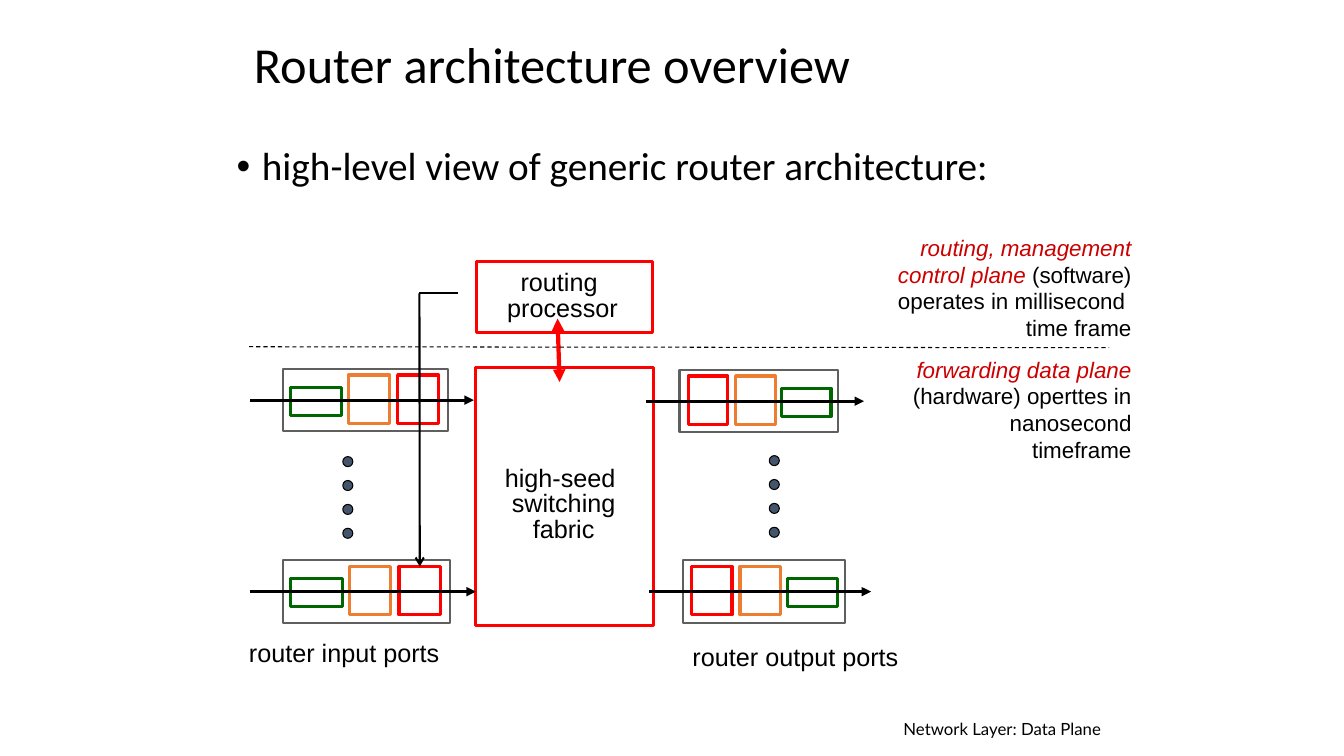
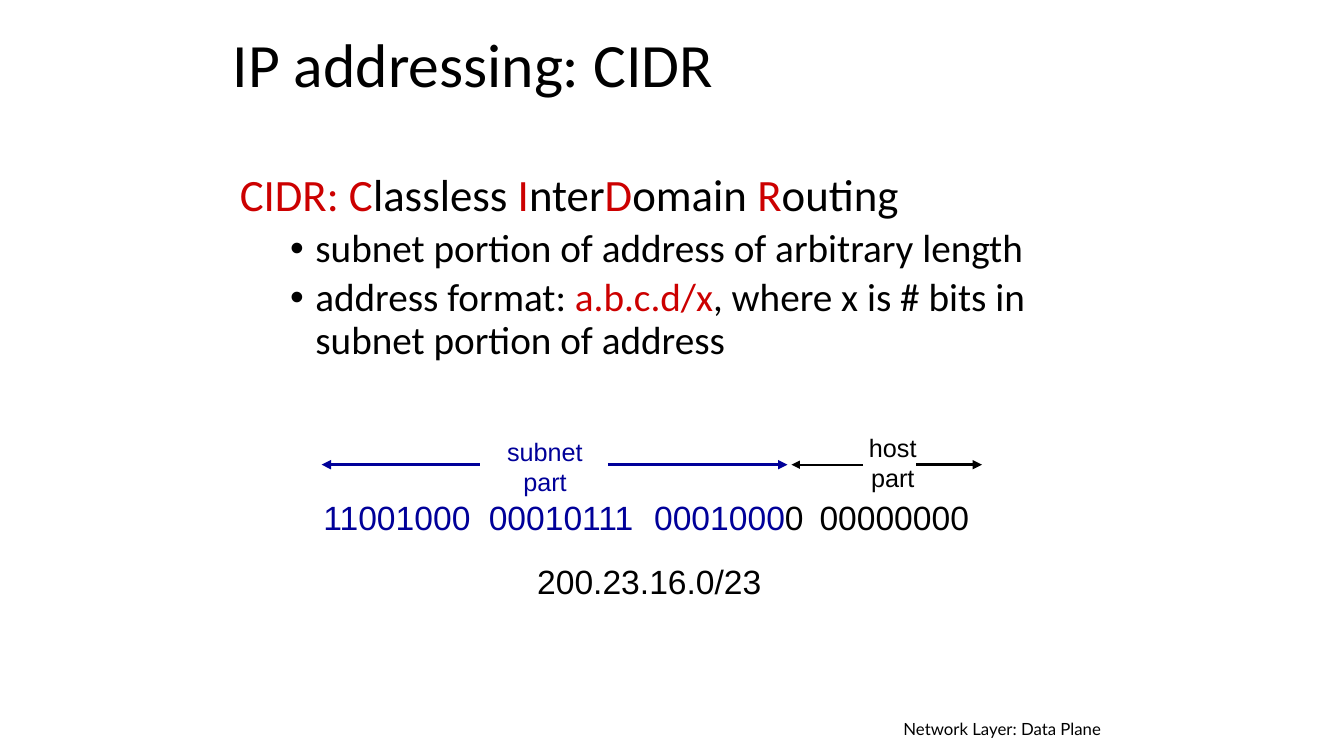
from dataclasses import dataclass

from lxml.etree import SubElement
from pptx import Presentation
from pptx.dml.color import RGBColor
from pptx.enum.dml import MSO_LINE
from pptx.enum.shapes import MSO_CONNECTOR, MSO_SHAPE as Shape
from pptx.enum.text import MSO_ANCHOR as Anchor, PP_ALIGN as Align
from pptx.oxml.ns import qn
from pptx.util import Inches, Pt

BLACK, WHITE = "000000", "FFFFFF"
RED, ACCENT, NAVY = "FF0000", "CC0000", "000099"
GREEN, ORANGE, GREY, SLATE = "006600", "ED7D31", "5F5F5F", "44546A"
HEADING_FONT, LABEL_FONT, FOOTER_FONT = "Calibri", "Arial", "Lato"


@dataclass
class Para:
    runs: list
    size: float = 18
    align: Align = Align.LEFT
    spacing: float = 1
    before: float = 0
    margin: float = 0
    bullet: bool = False
    hanging: bool = False
    tabs: tuple = ()


def rgb(color):
    return RGBColor.from_string(color)


def format_paragraph(paragraph, para):
    paragraph.alignment = para.align
    paragraph.line_spacing = para.spacing
    paragraph.space_before = Pt(para.before)
    properties = paragraph._p.get_or_add_pPr()
    if para.hanging:
        properties.set("marL", str(Inches(para.margin)))
        properties.set("indent", str(Inches(-0.25)))
    if para.bullet:
        SubElement(properties, qn("a:buFont"), typeface="Arial")
        SubElement(properties, qn("a:buChar"), char="•")
    if para.tabs:
        stops = SubElement(properties, qn("a:tabLst"))
        for stop in para.tabs:
            SubElement(stops, qn("a:tab"), pos=str(Inches(stop)), algn="l")


def write(slide, box, paras, font=LABEL_FONT, wrap=True, anchor=Anchor.TOP):
    frame = slide.shapes.add_textbox(*map(Inches, box)).text_frame
    frame.word_wrap = wrap
    frame.vertical_anchor = anchor
    for index, para in enumerate(paras):
        paragraph = frame.add_paragraph() if index else frame.paragraphs[0]
        format_paragraph(paragraph, para)
        for text, color, *style in para.runs:
            run = paragraph.add_run()
            run.text = text
            run.font.name = font
            run.font.size = Pt(para.size)
            run.font.color.rgb = rgb(color)
            run.font.italic = "italic" in style


def label(slide, box, lines, color=BLACK, size=18, align=Align.CENTER, spacing=1):
    paras = [Para([(line, color)], size, align, spacing) for line in lines]
    write(slide, box, paras, wrap=False)


def block(slide, box, line, weight, fill=WHITE, kind=Shape.RECTANGLE):
    shape = slide.shapes.add_shape(kind, *map(Inches, box))
    shape.shadow.inherit = False
    shape.fill.solid()
    shape.fill.fore_color.rgb = rgb(fill)
    shape.line.color.rgb = rgb(line)
    shape.line.width = Pt(weight)
    return shape


def connect(slide, start, end, color=BLACK, weight=2.25, head=None, tail=None, dash=None):
    connector = slide.shapes.add_connector(
        MSO_CONNECTOR.STRAIGHT, *map(Inches, (*start, *end)))
    connector.line.color.rgb = rgb(color)
    connector.line.width = Pt(weight)
    if dash:
        connector.line.dash_style = dash
    outline = connector.line._get_or_add_ln()
    for tag, arrow in (("a:headEnd", head), ("a:tailEnd", tail)):
        if arrow:
            SubElement(outline, qn(tag), type=arrow)
    SubElement(connector._element.spPr, qn("a:effectLst"))
    return connector


def add_slide(prs, title, title_box, title_size):
    slide = prs.slides.add_slide(prs.slide_layouts[6])
    write(slide, title_box, [Para([(title, BLACK)], title_size, spacing=0.9)],
          HEADING_FONT, anchor=Anchor.MIDDLE)
    write(slide, (8.64, 7.08, 2.38, 0.26),
          [Para([("Network Layer: Data Plane", BLACK)], 12, Align.RIGHT)], FOOTER_FONT)
    return slide


def port(slide, left, top, width, output=False):
    block(slide, (left, top, width, 0.62), GREY, 1.5)
    scale = width / 1.64
    stages = [(0.07, 0.18, 0.51, 0.28, GREEN),
              (0.65, 0.06, 0.41, 0.48, ORANGE),
              (1.14, 0.06, 0.41, 0.48, RED)]
    for x, y, w, h, color in stages:
        x, w = x * scale, w * scale
        if output:
            x = width - x - w
        stage = block(slide, (left + x, top + y, w, h), color, 2.25)
    middle = top + 0.31
    connect(slide, (left - 0.33, middle), (left + width + 0.26, middle), tail="triangle")
    return stage


def ellipsis_dots(slide, left, top):
    for index in range(4):
        block(slide, (left, top + index * 0.237, 0.1, 0.1), BLACK, 0.75, SLATE, Shape.OVAL)


def switching_core(slide, left, top):
    block(slide, (left, top + 1.06, 1.76, 2.56), RED, 2.25)
    label(slide, (left + 0.18, top + 1.99, 1.38, 0.87),
          ["high-seed ", "switching", "fabric"], spacing=0.85)
    block(slide, (left + 0.01, top, 1.74, 0.71), RED, 2.25)
    label(slide, (left + 0.21, top + 0.05, 1.3, 0.61),
          ["routing ", "processor"], spacing=0.85)
    connect(slide, (left + 0.81, top + 0.57), (left + 0.83, top + 1.2), RED, 3,
            "triangle", "triangle")


def plane_notes(slide, right, divider):
    connect(slide, (2.47, divider), (11, divider + 0.01), weight=0.75, dash=MSO_LINE.DASH)
    control = [[("routing, management", ACCENT, "italic")],
               [("control plane ", ACCENT, "italic"), ("(software)", BLACK)],
               [("operates in millisecond ", BLACK)],
               [("time frame", BLACK)]]
    forwarding = [[("forwarding data plane ", ACCENT, "italic"),
                   ("(hardware) operttes in nanosecond timeframe", BLACK)]]
    for width, top, notes in ((3.15, divider - 1.17, control),
                              (2.39, divider + 0.04, forwarding)):
        write(slide, (right - width, top, width, 1.18),
              [Para(runs, 16, Align.RIGHT) for runs in notes])


def router_slide(prs):
    slide = add_slide(prs, "Router architecture overview", (2.42, 0.33, 8.5, 0.67), 36)
    write(slide, (2.25, 1.41, 8.5, 0.64),
          [Para([("high-level view of generic router architecture:", BLACK)], 28,
                spacing=0.9, margin=0.25, bullet=True, hanging=True)], HEADING_FONT)
    switching_core(slide, 4.72, 2.59)
    port(slide, 2.81, 3.66, 1.63)
    lookup = port(slide, 2.81, 5.56, 1.65)
    port(slide, 6.74, 3.67, 1.57, output=True)
    port(slide, 6.77, 5.56, 1.61, output=True)
    ellipsis_dots(slide, 3.4, 4.53)
    ellipsis_dots(slide, 7.63, 4.52)
    label(slide, (2.37, 6.27, 2.09, 0.4), ["router input ports"], align=Align.LEFT)
    label(slide, (6.77, 6.31, 2.24, 0.4), ["router output ports"], align=Align.LEFT)
    plane_notes(slide, 11.32, 3.44)
    bend = (4.16, 2.91)
    connect(slide, (4.54, 2.91), bend, weight=1.5)
    update = connect(slide, bend, (4.16, 5.62), weight=1.5, tail="arrow")
    update.end_connect(lookup, 0)


def address_diagram(slide, left, top):
    axis = top + 0.37
    spans = [(1.65, 0.08, NAVY, 2.25), (2.92, 4.7, NAVY, 2.25),
             (5.45, 4.74, BLACK, 1.5), (5.98, 6.63, BLACK, 2.25)]
    for start, end, color, weight in spans:
        connect(slide, (left + start, axis), (left + end, axis), color, weight,
                tail="triangle")
    label(slide, (left + 1.82, top + 0.04, 0.95, 0.7), ["subnet", "part"], NAVY)
    label(slide, (left + 5.41, top, 0.67, 0.7), ["host", "part"])
    bits = [("11001000\t00010111\t0001000", NAVY), ("0\t00000000", BLACK)]
    write(slide, (left, top + 0.64, 6.9, 0.5),
          [Para(bits, 24, tabs=tuple(1.64 * column for column in (1, 2, 3)))])
    label(slide, (left + 2.12, top + 1.28, 2.43, 0.5), ["200.23.16.0/23"],
          size=24, align=Align.LEFT)


def cidr_slide(prs):
    slide = add_slide(prs, "IP addressing: CIDR", (2.21, 0.21, 8.5, 0.93), 44)
    expansion = [("CIDR: C", ACCENT), ("lassless ", BLACK), ("I", ACCENT), ("nter", BLACK),
                 ("D", ACCENT), ("omain ", BLACK), ("R", ACCENT), ("outing", BLACK)]
    points = [[("subnet portion of address of arbitrary length", BLACK)],
              [("address format: ", BLACK), ("a.b.c.d/x", ACCENT),
               (", where x is # bits in subnet portion of address", BLACK)]]
    paras = [Para(expansion, 32, spacing=0.9, margin=0.25, hanging=True)]
    paras += [Para(runs, 28, spacing=0.9, before=5, margin=0.75, bullet=True, hanging=True)
              for runs in points]
    write(slide, (2.28, 1.67, 8.87, 2.4), paras, HEADING_FONT)
    address_diagram(slide, 3.11, 4.24)


def main():
    prs = Presentation()
    prs.slide_width, prs.slide_height = Inches(13.33), Inches(7.5)
    router_slide(prs)
    cidr_slide(prs)
    prs.save("out.pptx")


if __name__ == "__main__":
    main()
